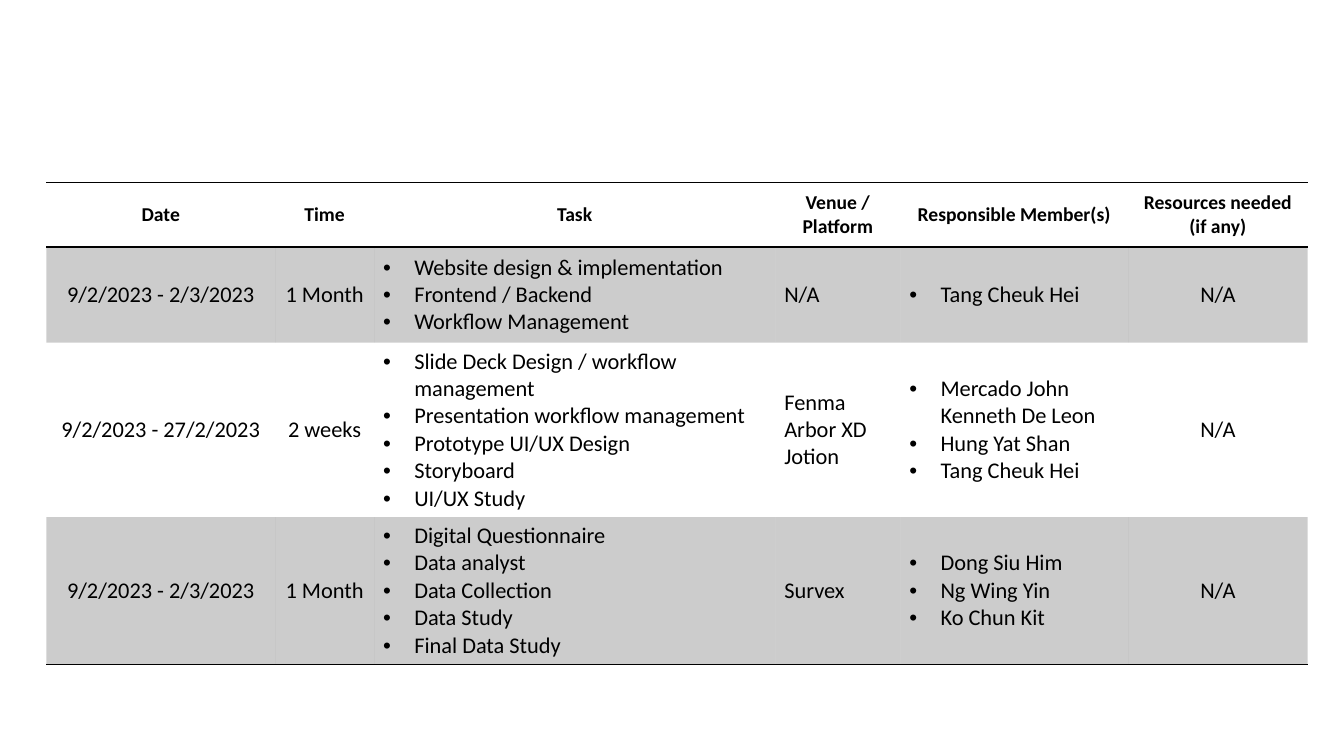
from dataclasses import dataclass

from lxml.etree import SubElement
from pptx import Presentation
from pptx.dml.color import RGBColor
from pptx.enum.text import MSO_ANCHOR, PP_ALIGN
from pptx.oxml.ns import qn
from pptx.table import Table, _Cell
from pptx.util import Inches, Pt

FONT = "Calibri"
BLACK = "000000"
NO_STYLE_NO_GRID = "{2D5ABB26-0587-4C30-8999-92F81FD0307C}"
BULLET_INDENT = Inches(0.31)
HEADER_HEIGHT = 0.64


@dataclass(frozen=True)
class Column:
    heading: str
    width: float
    centred: bool = False
    bulleted: bool = False


@dataclass(frozen=True)
class Activity:
    height: float
    shaded: bool
    entries: tuple[str, ...]


COLUMNS = [
    Column("Date", 2.27, centred=True),
    Column("Time", 0.98, centred=True),
    Column("Task", 3.98, bulleted=True),
    Column("Venue / Platform", 1.24),
    Column("Responsible Member(s)", 2.26, bulleted=True),
    Column("Resources needed (if any)", 1.78, centred=True),
]

ACTIVITIES = [
    Activity(0.95, True, (
        "9/2/2023 - 2/3/2023",
        "1 Month",
        "Website design & implementation\nFrontend / Backend\nWorkflow Management",
        "N/A",
        "Tang Cheuk Hei",
        "N/A",
    )),
    Activity(1.72, False, (
        "9/2/2023 - 27/2/2023",
        "2 weeks",
        "Slide Deck Design / workflow management\nPresentation workflow management\n"
        "Prototype UI/UX Design\nStoryboard\nUI/UX Study",
        "Fenma\nArbor XD\nJotion",
        "Mercado John Kenneth De Leon\nHung Yat Shan\nTang Cheuk Hei",
        "N/A",
    )),
    Activity(1.44, True, (
        "9/2/2023 - 2/3/2023",
        "1 Month",
        "Digital Questionnaire\nData analyst\nData Collection\nData Study\nFinal Data Study",
        "Survex",
        "Dong Siu Him\nNg Wing Yin\nKo Chun Kit",
        "N/A",
    )),
]


def colour(hex_value: str) -> RGBColor:
    return RGBColor.from_string(hex_value)


def add_bullet(paragraph) -> None:
    properties = paragraph._p.get_or_add_pPr()
    properties.set("marL", str(BULLET_INDENT))
    properties.set("indent", str(-BULLET_INDENT))
    SubElement(properties, qn("a:buFont"), typeface="Arial")
    SubElement(properties, qn("a:buChar"), char="•")


def write_cell(cell: _Cell, text: str, size: int, bold: bool = False,
               centred: bool = False, bulleted: bool = False) -> None:
    cell.vertical_anchor = MSO_ANCHOR.MIDDLE
    cell.margin_left = cell.margin_right = Inches(0.09)
    cell.margin_top = cell.margin_bottom = Inches(0.05)
    cell.text_frame.text = text
    for paragraph in cell.text_frame.paragraphs:
        paragraph.alignment = PP_ALIGN.CENTER if centred else PP_ALIGN.LEFT
        if bulleted:
            add_bullet(paragraph)
        for run in paragraph.runs:
            run.font.name = FONT
            run.font.size = Pt(size)
            run.font.bold = bold
            run.font.color.rgb = colour(BLACK)


def rule_cell(cell: _Cell, *edges: str) -> None:
    for edge in edges:
        line = SubElement(cell._tc.get_or_add_tcPr(), qn(f"a:{edge}"), w=str(Pt(1)))
        SubElement(SubElement(line, qn("a:solidFill")), qn("a:srgbClr"), val=BLACK)


def shade_cell(cell: _Cell, shaded: bool) -> None:
    if not shaded:
        cell.fill.background()
        return
    cell.fill.solid()
    cell.fill.fore_color.rgb = colour(BLACK)
    tint = cell._tc.tcPr.find(qn("a:solidFill")).find(qn("a:srgbClr"))
    SubElement(tint, qn("a:alpha"), val="20000")


def fill_schedule(schedule: Table) -> None:
    # Header row, ruled above and below
    schedule.rows[0].height = Inches(HEADER_HEIGHT)
    for index, column in enumerate(COLUMNS):
        schedule.columns[index].width = Inches(column.width)
        heading = schedule.cell(0, index)
        write_cell(heading, column.heading, 14, bold=True, centred=True)
        rule_cell(heading, "lnT", "lnB")
        shade_cell(heading, False)

    # Activity rows, the last one ruled below
    for row, activity in enumerate(ACTIVITIES, start=1):
        schedule.rows[row].height = Inches(activity.height)
        for index, (column, entry) in enumerate(zip(COLUMNS, activity.entries)):
            cell = schedule.cell(row, index)
            write_cell(cell, entry, 16, centred=column.centred, bulleted=column.bulleted)
            if row == len(ACTIVITIES):
                rule_cell(cell, "lnB")
            shade_cell(cell, activity.shaded)


def main() -> None:
    presentation = Presentation()
    presentation.slide_width = Inches(13.33)
    presentation.slide_height = Inches(7.5)
    slide = presentation.slides.add_slide(presentation.slide_layouts[6])

    # Work schedule
    width = sum(column.width for column in COLUMNS)
    height = HEADER_HEIGHT + sum(activity.height for activity in ACTIVITIES)
    schedule = slide.shapes.add_table(
        len(ACTIVITIES) + 1, len(COLUMNS),
        Inches(0.46), Inches(1.81), Inches(width), Inches(height),
    ).table
    schedule.first_row = schedule.horz_banding = False
    schedule._tbl.tblPr.find(qn("a:tableStyleId")).text = NO_STYLE_NO_GRID
    fill_schedule(schedule)

    presentation.save("out.pptx")


if __name__ == "__main__":
    main()
